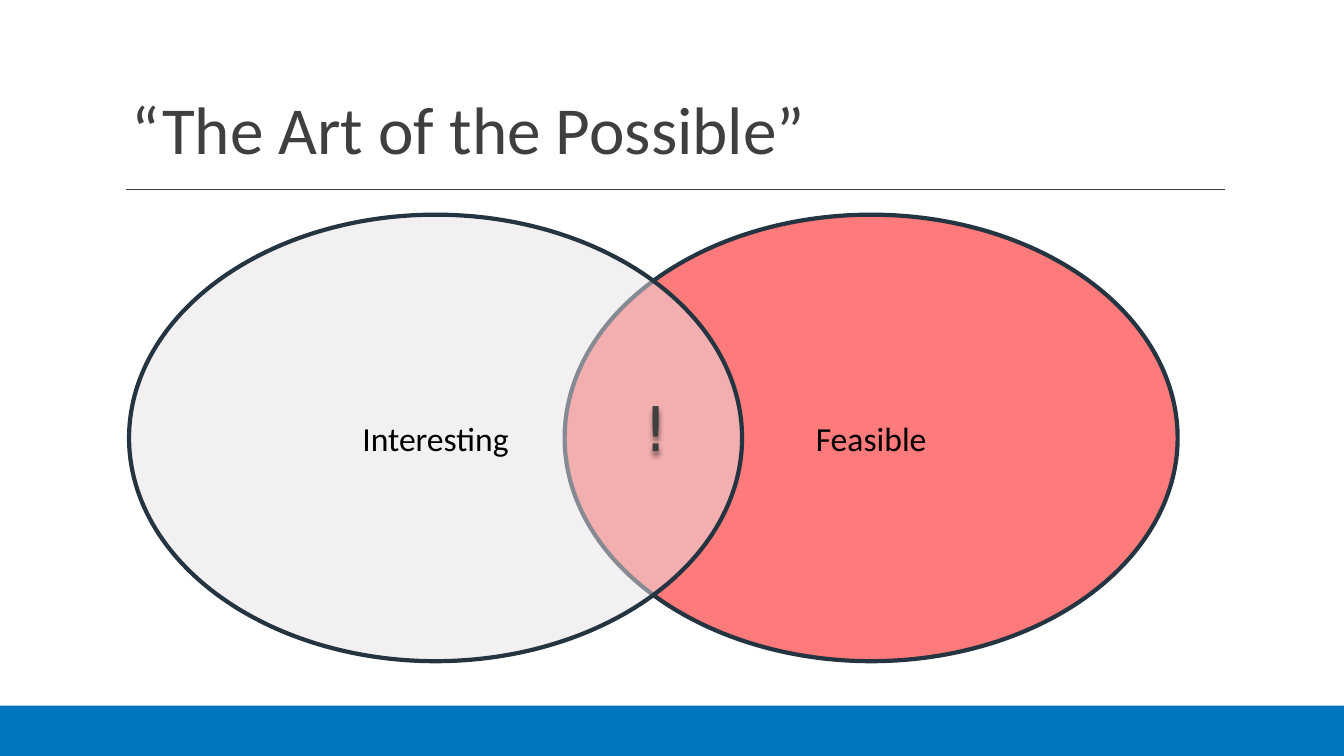
from dataclasses import dataclass

from lxml import etree
from pptx import Presentation
from pptx import util as u
from pptx.dml.color import RGBColor
from pptx.enum import shapes, text
from pptx.oxml import ns

WHITE = RGBColor(0xFF, 0xFF, 0xFF)
BLUE = RGBColor(0x00, 0x75, 0xBF)
CHARCOAL = RGBColor(0x3F, 0x3F, 0x3F)
NAVY = RGBColor(0x24, 0x35, 0x41)
RED = RGBColor(0xFF, 0x00, 0x00)
MIST = RGBColor(0xE8, 0xE2, 0xE6)
BLACK = RGBColor(0x00, 0x00, 0x00)

CIRCLE_TOP, CIRCLE_WIDTH, CIRCLE_HEIGHT = 2.13, 6.08, 4.43


@dataclass(frozen=True)
class Circle:
    label: str
    left: float
    fill: RGBColor
    opacity: int


CIRCLES = [
    Circle("Feasible", 5.6, RED, 52),
    Circle("Interesting", 1.28, MIST, 50),
]


def write(shape, words: str, size: int, font: str, color: RGBColor,
          align, anchor, inset: float = 0.1) -> None:
    frame = shape.text_frame
    frame.text = words
    frame.word_wrap = True
    frame.auto_size = text.MSO_AUTO_SIZE.NONE
    frame.vertical_anchor = anchor
    frame.margin_left = frame.margin_right = u.Inches(0.1)
    frame.margin_top = frame.margin_bottom = u.Inches(inset)
    paragraph = frame.paragraphs[0]
    paragraph.alignment = align
    for run in paragraph.runs:
        run.font.size = u.Pt(size)
        run.font.name = font
        run.font.color.rgb = color


def add_frame(slide) -> None:
    rule = slide.shapes.add_connector(
        shapes.MSO_CONNECTOR.STRAIGHT,
        u.Inches(1.25), u.Inches(1.88), u.Inches(12.15), u.Inches(1.88))
    rule.line.color.rgb = CHARCOAL
    rule.line.width = u.Pt(1)
    etree.SubElement(rule._element.spPr, ns.qn("a:effectLst"))

    footer = slide.shapes.add_shape(
        shapes.MSO_SHAPE.RECTANGLE,
        u.Inches(0), u.Inches(7), u.Inches(13.33), u.Inches(0.5))
    footer.shadow.inherit = False
    footer.fill.solid()
    footer.fill.fore_color.rgb = BLUE
    footer.line.fill.background()


def add_title(slide) -> None:
    title = slide.shapes.title
    title.left, title.top = u.Inches(1.2), u.Inches(0.7)
    title.width, title.height = u.Inches(11), u.Inches(1.03)
    write(title, "“The Art of the Possible”", 48, "Calibri", CHARCOAL,
          text.PP_ALIGN.LEFT, text.MSO_ANCHOR.BOTTOM, 0.05)
    title.text_frame.paragraphs[0].line_spacing = 0.9


def add_circle(slide, circle: Circle) -> None:
    oval = slide.shapes.add_shape(
        shapes.MSO_SHAPE.OVAL, u.Inches(circle.left), u.Inches(CIRCLE_TOP),
        u.Inches(CIRCLE_WIDTH), u.Inches(CIRCLE_HEIGHT))
    oval.shadow.inherit = False
    oval.fill.solid()
    oval.fill.fore_color.rgb = circle.fill
    tint = oval._element.spPr.find(ns.qn("a:solidFill"))[0]
    etree.SubElement(tint, ns.qn("a:alpha"), val=str(circle.opacity * 1000))
    oval.line.color.rgb = NAVY
    oval.line.width = u.Pt(3)
    write(oval, circle.label, 24, "Calibri", BLACK,
          text.PP_ALIGN.CENTER, text.MSO_ANCHOR.MIDDLE)


def add_overlap_mark(slide) -> None:
    mark = slide.shapes.add_textbox(
        u.Inches(6.07), u.Inches(3.77), u.Inches(0.87), u.Inches(0.94))
    write(mark, "!", 44, "DejaVu Sans Mono", CHARCOAL,
          text.PP_ALIGN.CENTER, text.MSO_ANCHOR.TOP)
    effects = etree.SubElement(mark._element.spPr, ns.qn("a:effectLst"))
    shadow = etree.SubElement(
        effects, ns.qn("a:outerShdw"), blurRad=str(u.Pt(4)),
        dist=str(u.Pt(3)), dir="5400000", rotWithShape="0")
    shade = etree.SubElement(shadow, ns.qn("a:srgbClr"), val=str(BLACK))
    etree.SubElement(shade, ns.qn("a:alpha"), val="50000")


def main() -> None:
    deck = Presentation()
    deck.slide_width, deck.slide_height = u.Inches(13.33), u.Inches(7.5)
    slide = deck.slides.add_slide(deck.slide_layouts.get_by_name("Title Only"))
    slide.background.fill.solid()
    slide.background.fill.fore_color.rgb = WHITE
    add_frame(slide)
    add_title(slide)
    for circle in CIRCLES:
        add_circle(slide, circle)
    add_overlap_mark(slide)
    deck.save("out.pptx")


if __name__ == "__main__":
    main()
